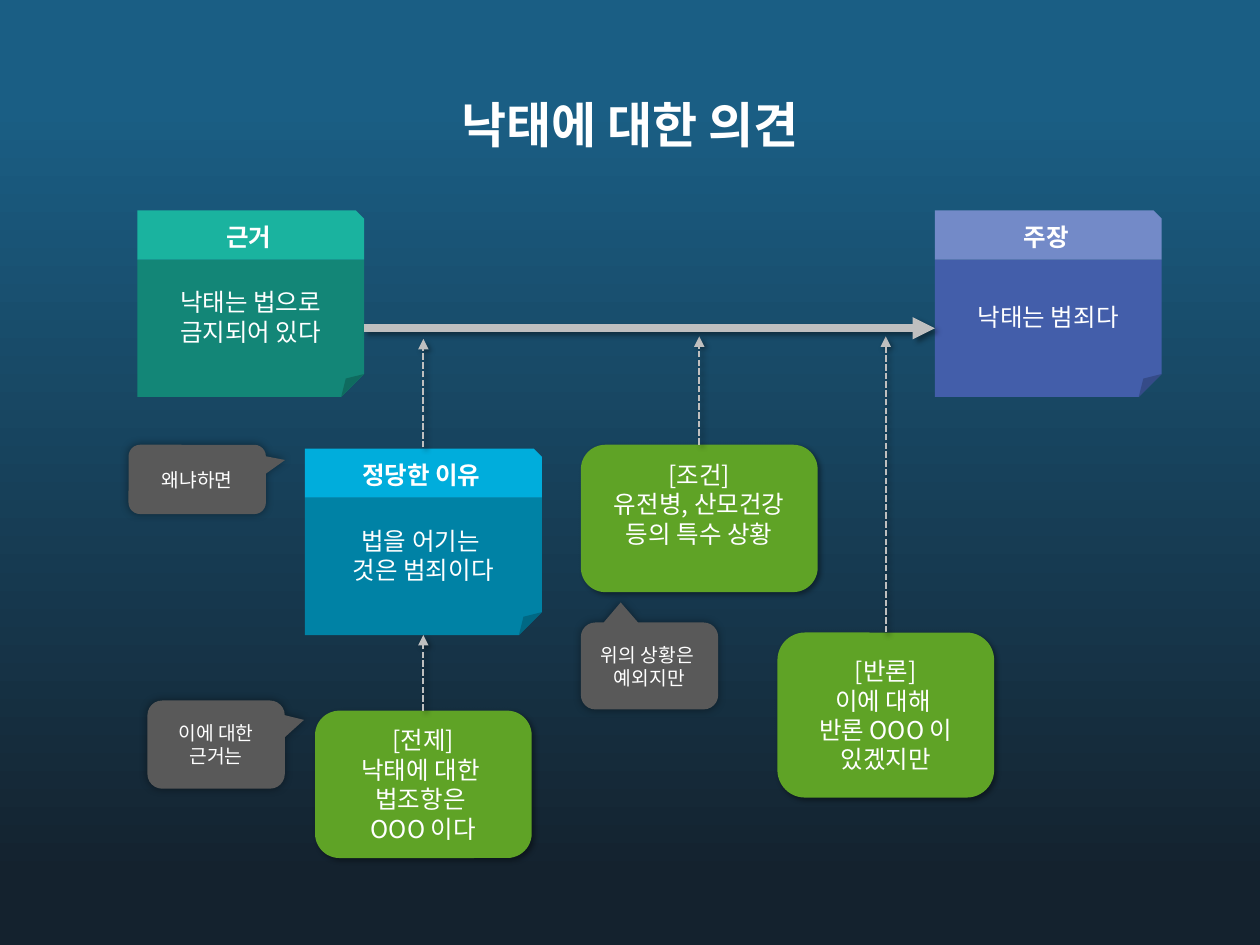
from lxml.etree import SubElement
from pptx import Presentation
from pptx.dml.color import RGBColor
from pptx.enum.dml import MSO_LINE
from pptx.enum.shapes import MSO_CONNECTOR, MSO_SHAPE
from pptx.enum.text import MSO_ANCHOR, PP_ALIGN
from pptx.oxml.ns import qn
from pptx.util import Inches, Pt

FONT = "Noto Sans CJK KR"
WHITE = RGBColor(0xFF, 0xFF, 0xFF)
SKY = RGBColor(0x1A, 0x5E, 0x84)
NIGHT = RGBColor(0x14, 0x22, 0x2E)
TEAL = RGBColor(0x1A, 0xB3, 0x9F)
DARK_TEAL = RGBColor(0x13, 0x86, 0x77)
CYAN = RGBColor(0x00, 0xAD, 0xDC)
DARK_CYAN = RGBColor(0x00, 0x82, 0xA5)
VIOLET = RGBColor(0x73, 0x8A, 0xC8)
DARK_VIOLET = RGBColor(0x43, 0x5E, 0xAA)
GREEN = RGBColor(0x5F, 0xA3, 0x26)
GRAY = RGBColor(0x59, 0x59, 0x59)
SILVER = RGBColor(0xBF, 0xBF, 0xBF)
HEADER_H = 0.39
BODY_H = 1.09


def add_shadow(shape, blur=3, dist=2, angle=45):
    effects = SubElement(shape._element.spPr, qn("a:effectLst"))
    shadow = SubElement(effects, qn("a:outerShdw"), blurRad=str(Pt(blur)),
                        dist=str(Pt(dist)), dir=str(angle * 60000),
                        algn="ctr", rotWithShape="0")
    color = SubElement(shadow, qn("a:srgbClr"), val="000000")
    SubElement(color, qn("a:alpha"), val="40000")


def write_text(tf, paragraphs, size, bold=False):
    tf.word_wrap = True
    for i, lines in enumerate(paragraphs):
        p = tf.paragraphs[0] if i == 0 else tf.add_paragraph()
        p.alignment = PP_ALIGN.CENTER
        for j, line in enumerate(lines.split("\n")):
            if j:
                p.add_line_break()
            r = p.add_run()
            r.text = line
            r.font.size = Pt(size)
            r.font.bold = bold
            r.font.color.rgb = WHITE
            r.font.name = FONT
            SubElement(r.font._element, qn("a:ea"), typeface=FONT)


def add_block(shapes, kind, x, y, w, h, color, paragraphs, size=14, bold=False):
    sp = shapes.add_shape(kind, Inches(x), Inches(y), Inches(w), Inches(h))
    sp.fill.solid()
    sp.fill.fore_color.rgb = color
    sp.line.fill.background()
    sp.text_frame.vertical_anchor = MSO_ANCHOR.MIDDLE
    write_text(sp.text_frame, paragraphs, size, bold)
    return sp


def add_note(s, x, y, w, header, text, header_color, body_color):
    shapes = s.shapes.add_group_shape().shapes
    body = add_block(shapes, MSO_SHAPE.FOLDED_CORNER, x, y + HEADER_H, w, BODY_H,
                     body_color, [text])
    top = add_block(shapes, MSO_SHAPE.SNIP_1_RECTANGLE, x, y, w, HEADER_H,
                    header_color, [header], bold=True)
    for sp in (body, top):
        sp.shadow.inherit = False
    return body


def add_card(s, x, y, w, h, paragraphs):
    card = add_block(s.shapes, MSO_SHAPE.ROUNDED_RECTANGLE, x, y, w, h,
                     GREEN, paragraphs)
    add_shadow(card)
    return card


def add_callout(s, x, y, h, text, tip):
    sp = add_block(s.shapes, MSO_SHAPE.ROUNDED_RECTANGULAR_CALLOUT, x, y, 1.09, h,
                   GRAY, [text], size=11)
    sp.adjustments[0], sp.adjustments[1] = tip
    add_shadow(sp, blur=5, dist=0, angle=0)


def add_arrow(s, x1, y1, x2, y2, width=1.25, dashed=True):
    line = s.shapes.add_connector(MSO_CONNECTOR.STRAIGHT, Inches(x1), Inches(y1),
                                  Inches(x2), Inches(y2))
    line.line.color.rgb = SILVER
    line.line.width = Pt(width)
    if dashed:
        line.line.dash_style = MSO_LINE.SQUARE_DOT
    SubElement(line.line._get_or_add_ln(), qn("a:tailEnd"), type="triangle")
    add_shadow(line)
    return line


def add_background(s):
    fill = s.background.fill
    fill.gradient()
    fill.gradient_angle = 270
    for stop, (pos, color) in zip(fill.gradient_stops, [(0.11, SKY), (0.93, NIGHT)]):
        stop.position = pos
        stop.color.rgb = color


def add_title(s, x, y, w, h):
    box = s.shapes.add_textbox(Inches(x), Inches(y), Inches(w), Inches(h))
    write_text(box.text_frame, ["낙태에 대한 의견"], 28, True)


def add_argument(s):
    ground = add_note(s, 1.09, 1.67, 1.8, "근거", "낙태는 법으로 금지되어 있다",
                      TEAL, DARK_TEAL)
    reason = add_note(s, 2.42, 3.56, 1.88, "정당한 이유", "법을 어기는 \n것은 범죄이다",
                      CYAN, DARK_CYAN)
    claim = add_note(s, 7.42, 1.67, 1.8, "주장", "낙태는 범죄다",
                     VIOLET, DARK_VIOLET)
    premise = add_card(s, 2.5, 5.64, 1.72, 1.17,
                       ["[전제]\n낙태에 대한 \n법조항은 \nOOO 이다"])
    rebuttal = add_card(s, 6.17, 5.02, 1.72, 1.31,
                        ["[반론]", "이에 대해 \n반론 OOO 이 있겠지만"])
    condition = add_card(s, 4.61, 3.53, 1.88, 1.17,
                         ["[조건]", "유전병, 산모건강 등의 특수 상황"])
    condition.text_frame.margin_bottom = Inches(0.28)

    add_arrow(s, 3.36, 3.55, 3.36, 2.69)
    support = add_arrow(s, 3.36, 5.64, 3.36, 5.04)
    support.begin_connect(premise, 0)
    support.end_connect(reason, 2)
    for card, x, y in [(rebuttal, 7.03, 5.02), (condition, 5.55, 3.53)]:
        add_arrow(s, x, y, x, 2.67).begin_connect(card, 0)

    add_callout(s, 1.02, 3.53, 0.55, "왜냐하면", (0.64, -0.28))
    add_callout(s, 1.17, 5.56, 0.7, "이에 대한 근거는", (0.64, -0.28))
    add_callout(s, 4.61, 4.94, 0.69, "위의 상황은 \n예외지만", (-0.21, -0.73))

    main_arrow = add_arrow(s, 2.89, 2.61, 7.42, 2.61, 4.25, False)
    main_arrow.begin_connect(ground, 3)
    main_arrow.end_connect(claim, 1)


def main():
    prs = Presentation()
    prs.slide_width, prs.slide_height = Inches(10), Inches(7.5)
    s = prs.slides.add_slide(prs.slide_layouts[6])
    add_background(s)
    add_title(s, 2.42, 0.7, 5.16, 0.57)
    add_argument(s)
    prs.save("out.pptx")


if __name__ == "__main__":
    main()
